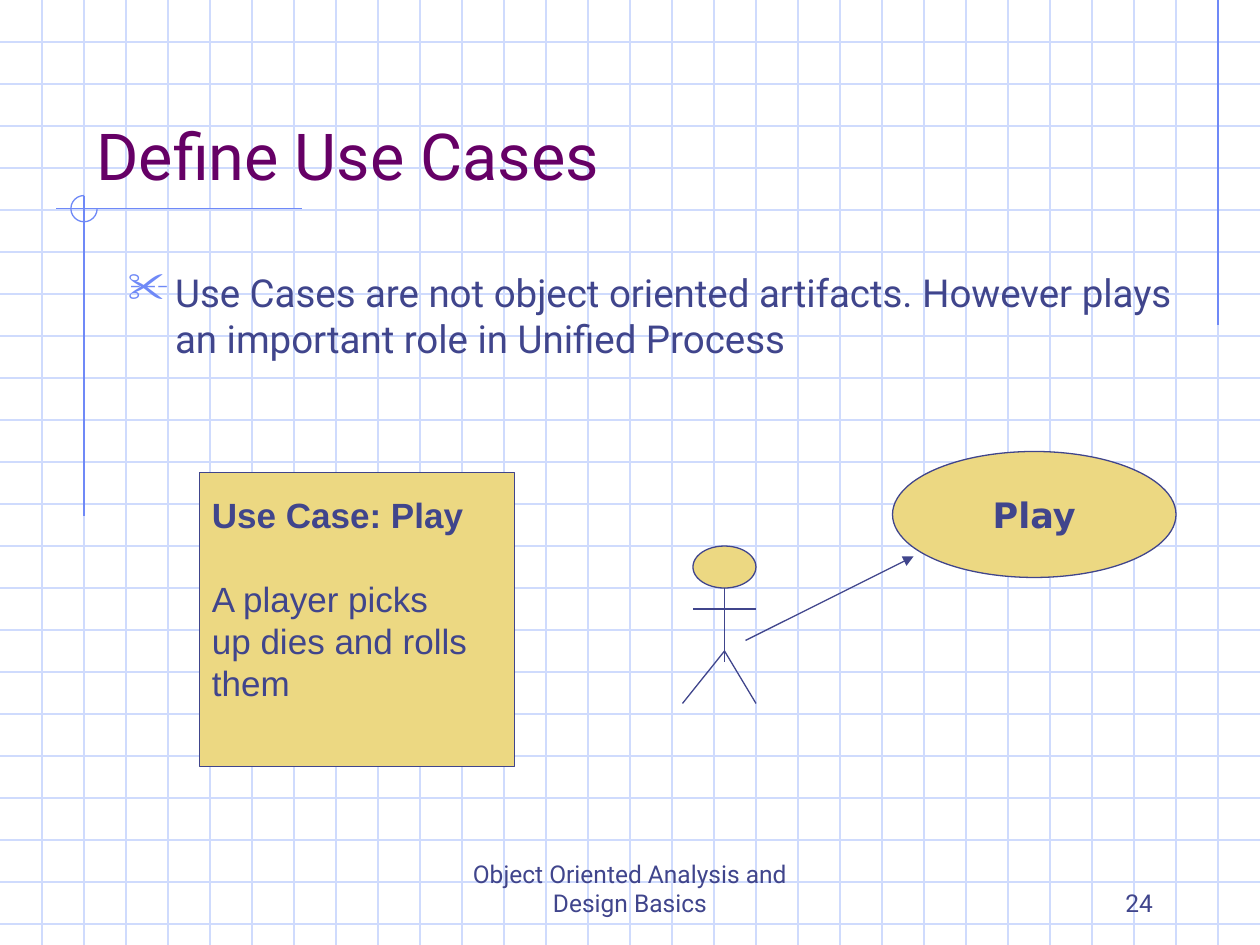
"""Build the Define Use Cases slide: a note, an actor and a use case on a grid."""
from lxml.etree import SubElement
from pptx import Presentation
from pptx.dml.color import RGBColor
from pptx.enum.shapes import MSO_CONNECTOR as Connector, MSO_SHAPE as Shape
from pptx.enum.text import MSO_ANCHOR as Anchor, PP_ALIGN as Align
from pptx.oxml.ns import qn
from pptx.util import Pt

PX = 9525
WIDTH, HEIGHT, GRID_STEP = 960, 720, 32
COLORS = {"grid": "CFDBFD", "accent": "6F89F7", "ink": "40458C", "title": "660066", "sand": "ECD882"}

TITLE = "Define Use Cases"
STATEMENT = "Use Cases are not object oriented artifacts. However plays an important role in Unified Process"
FOOTER = "Object Oriented Analysis and Design Basics"
PAGE_NUMBER = "24"
NOTE_HEADING = "Use Case: Play"
NOTE_LINES = ["A player picks", "up dies and rolls", "them"]
USE_CASE = "Play"

RULES = [(928, 0, 928, 248), (230, 159, 43, 159), (64, 149, 64, 393)]
CORNER_ARC = (54, 149, 20, 20)
NOTE_BOX = (152, 360, 240, 224)
ACTOR_HEAD = (528, 416, 48, 32)
ACTOR_LIMBS = [(552, 448, 552, 504), (528, 464, 576, 464), (552, 496, 520, 536), (552, 496, 576, 536)]
USE_CASE_OVAL = (680, 344, 216, 96)
ACTOR_TO_USE_CASE = (568, 488, 696, 424)

TEXT_BOXES = [
    (FOOTER, (328, 656, 304, 48), Anchor.BOTTOM, Align.CENTER, {"size": Pt(14)}, "ink"),
    (PAGE_NUMBER, (688, 656, 200, 48), Anchor.BOTTOM, Align.RIGHT, {"size": Pt(14)}, "ink"),
    (TITLE, (64, 32, 816, 120), Anchor.BOTTOM, Align.LEFT, {"size": Pt(37)}, "title"),
]
STATEMENT_BOX = (88, 200, 816, 167)
BULLET_INDENT = 36
NOTE_LINE_HEIGHT = 32


def rgb(color):
    return RGBColor.from_string(COLORS[color])


def emu(lengths):
    return [length * PX for length in lengths]


def assign(target, values):
    for name, value in values.items():
        setattr(target, name, value)


def draw_line(shapes, ends, color, arrow=False):
    connector = shapes.add_connector(Connector.STRAIGHT, *emu(ends))
    connector.line.color.rgb = rgb(color)
    connector.line.width = Pt(0.75)
    properties = connector.line._get_or_add_ln()
    if arrow:
        SubElement(properties, qn("a:tailEnd"), type="triangle")
    SubElement(properties.getparent(), qn("a:effectLst"))


def draw_shape(shapes, kind, box, line, fill=None):
    shape = shapes.add_shape(kind, *emu(box))
    shape.shadow.inherit = False
    shape.line.color.rgb = rgb(line)
    shape.line.width = Pt(0.75)
    if fill:
        shape.fill.solid()
        shape.fill.fore_color.rgb = rgb(fill)
    else:
        shape.fill.background()
    return shape


def write(paragraph, text, align, font, color):
    paragraph.text = text
    paragraph.alignment = align
    assign(paragraph.font, {"name": "Roboto", **font})
    paragraph.font.color.rgb = rgb(color)


def add_text(shapes, text, box, anchor, align, font, color):
    frame = shapes.add_textbox(*emu(box)).text_frame
    assign(frame, {"word_wrap": True, "vertical_anchor": anchor})
    write(frame.paragraphs[0], text, align, font, color)


def draw_background(shapes):
    for y in range(GRID_STEP, HEIGHT, GRID_STEP):
        draw_line(shapes, (0, y, WIDTH, y), "grid")
    for x in range(GRID_STEP, WIDTH, GRID_STEP):
        draw_line(shapes, (x, 0, x, HEIGHT), "grid")
    for rule in RULES:
        draw_line(shapes, rule, "accent")
    arc = draw_shape(shapes, Shape.ARC, CORNER_ARC, "accent")
    arc.adjustments[0], arc.adjustments[1] = 0, 162


def add_statement(shapes):
    frame = shapes.add_textbox(*emu(STATEMENT_BOX)).text_frame
    frame.word_wrap = True
    paragraph = frame.paragraphs[0]
    properties = paragraph._p.get_or_add_pPr()
    properties.set("marL", str(BULLET_INDENT * PX))
    properties.set("indent", str(-BULLET_INDENT * PX))
    bullet_color = SubElement(properties, qn("a:buClr"))
    SubElement(bullet_color, qn("a:srgbClr"), val=COLORS["accent"])
    SubElement(properties, qn("a:buSzPct"), val="110000")
    SubElement(properties, qn("a:buChar"), char="✂")
    write(paragraph, STATEMENT, Align.LEFT, {"size": Pt(22)}, "ink")


def add_note(shapes):
    frame = draw_shape(shapes, Shape.RECTANGLE, NOTE_BOX, "ink", "sand").text_frame
    assign(frame, {"word_wrap": True, "vertical_anchor": Anchor.MIDDLE,
                   "margin_bottom": (NOTE_LINE_HEIGHT + 5) * PX})
    for index, text in enumerate([NOTE_HEADING, *NOTE_LINES]):
        paragraph = frame.add_paragraph() if index else frame.paragraphs[0]
        paragraph.line_spacing = Pt(24)
        if index == 1:
            paragraph.space_before = NOTE_LINE_HEIGHT * PX
        write(paragraph, text, Align.LEFT, {"name": "Arial", "size": Pt(20), "bold": index == 0}, "ink")


def add_use_case(shapes):
    draw_shape(shapes, Shape.OVAL, ACTOR_HEAD, "ink", "sand")
    for limb in ACTOR_LIMBS:
        draw_line(shapes, limb, "ink")
    frame = draw_shape(shapes, Shape.OVAL, USE_CASE_OVAL, "ink", "sand").text_frame
    assign(frame, {"word_wrap": True, "vertical_anchor": Anchor.MIDDLE})
    write(frame.paragraphs[0], USE_CASE, Align.CENTER,
          {"name": "DejaVu Sans", "size": Pt(20), "bold": True}, "ink")
    draw_line(shapes, ACTOR_TO_USE_CASE, "ink", arrow=True)


def main():
    presentation = Presentation()
    assign(presentation, {"slide_width": WIDTH * PX, "slide_height": HEIGHT * PX})
    shapes = presentation.slides.add_slide(presentation.slide_layouts[6]).shapes
    draw_background(shapes)
    for text_box in TEXT_BOXES:
        add_text(shapes, *text_box)
    add_statement(shapes)
    add_note(shapes)
    add_use_case(shapes)
    presentation.save("out.pptx")


if __name__ == "__main__":
    main()
